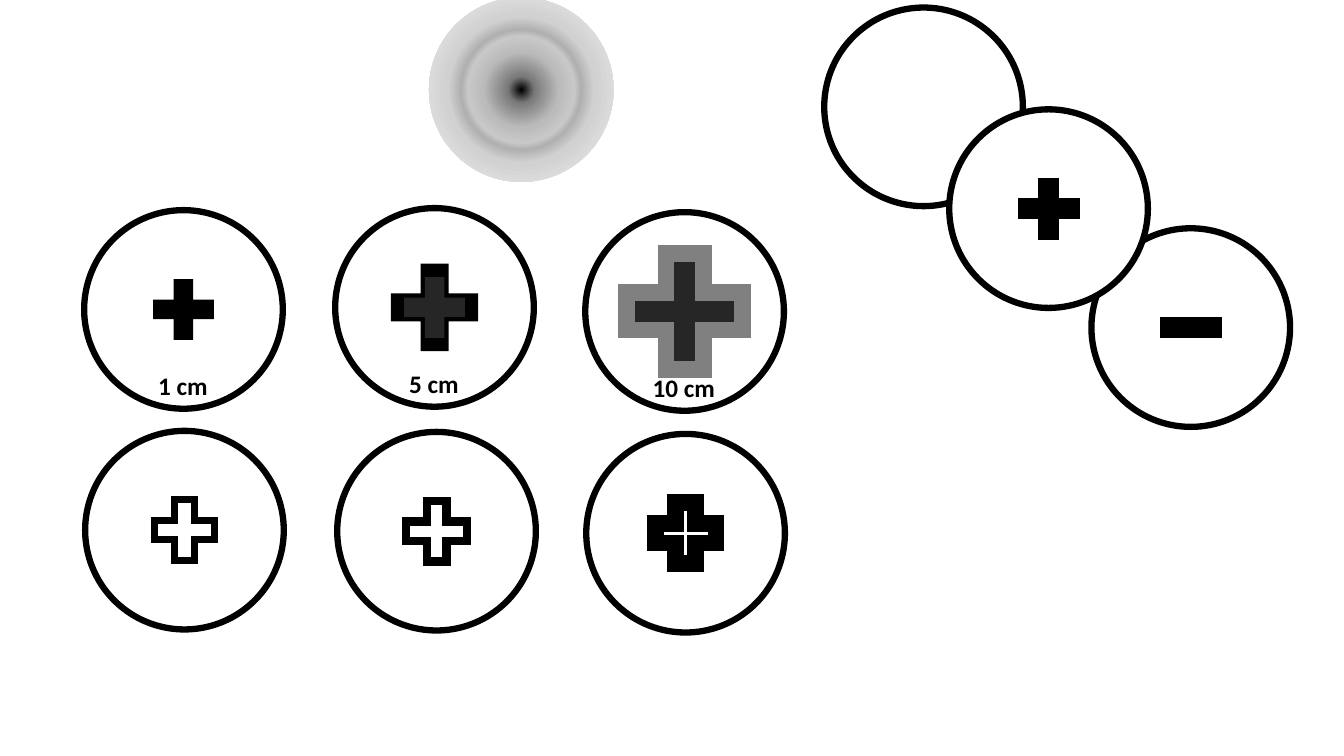
from dataclasses import dataclass
from typing import Optional

from lxml import etree
from pptx import Presentation
from pptx.dml.color import RGBColor
from pptx.enum import shapes, text
from pptx.oxml import ns
from pptx.util import Inches, Pt

BLACK = RGBColor(0x00, 0x00, 0x00)
WHITE = RGBColor(0xFF, 0xFF, 0xFF)
CHARCOAL = RGBColor(0x26, 0x26, 0x26)
GREY = RGBColor(0x80, 0x80, 0x80)

OVAL = shapes.MSO_SHAPE.OVAL
PLUS = shapes.MSO_SHAPE.MATH_PLUS
MINUS = shapes.MSO_SHAPE.MATH_MINUS

DISC_SIZE = 1.97
LABEL_HEIGHT = 0.4
LABEL_DROP = 0.55  # from disc centre to label top
GLOW_STOPS = [(0, "4E4E4E"), (0, "000000"), (10, "797979"), (29, "BBBBBB"),
              (41, "C8C8C8"), (46, "B0B0B0"), (56, "D1D1D1"),
              (72, "DBDBDB"), (88, "E7E7E7"), (100, "FFFFFF")]


@dataclass(frozen=True)
class Sign:
    kind: shapes.MSO_SHAPE = PLUS
    size: float = 0.82
    fill: RGBColor = BLACK
    line: RGBColor = BLACK
    width: float = 0


@dataclass(frozen=True)
class Label:
    words: str
    width: float


@dataclass(frozen=True)
class Disc:
    x: float  # centre
    y: float
    signs: tuple[Sign, ...] = ()
    label: Optional[Label] = None


DISCS = [
    # Overlapping chain at the right
    Disc(9.16, 1.06),
    Disc(11.81, 3.25, (Sign(MINUS, width=1),)),
    Disc(10.4, 2.07, (Sign(width=1),)),
    # Upper row, labelled by distance
    Disc(1.82, 3.07, (Sign(),), Label("1 cm", 0.7)),
    Disc(4.31, 3.05, (Sign(size=1.18), Sign(fill=CHARCOAL)),
         Label("5 cm", 0.7)),
    Disc(6.79, 3.09, (Sign(size=1.57, fill=CHARCOAL, line=GREY, width=12),),
         Label("10 cm", 0.83)),
    # Lower row, outlined crosses
    Disc(1.83, 5.26, (Sign(fill=WHITE, width=5),)),
    Disc(4.33, 5.27, (Sign(fill=WHITE, width=6),)),
    Disc(6.8, 5.29, (Sign(fill=WHITE, width=12),)),
]


def add_centred(s, kind, x: float, y: float, size: float,
                fill: Optional[RGBColor] = None,
                line: RGBColor = BLACK, width: float = 0):
    """Add a square-framed preset shape around a centre point."""
    sp = s.shapes.add_shape(kind, Inches(x - size / 2), Inches(y - size / 2),
                            Inches(size), Inches(size))
    sp.shadow.inherit = False
    if fill is not None:
        sp.fill.solid()
        sp.fill.fore_color.rgb = fill
    if width:
        sp.line.color.rgb = line
        sp.line.width = Pt(width)
        ln = sp.line._get_or_add_ln()
        etree.SubElement(ln, ns.qn("a:miter"), lim="800000")
    else:
        sp.line.fill.background()
    return sp


def add_glow(s, x: float, y: float, size: float) -> None:
    """Add a disc with a radial gradient."""
    sp = add_centred(s, OVAL, x, y, size)
    sp.fill.gradient()
    grad = sp._element.spPr.find(ns.qn("a:gradFill"))
    for child in list(grad):
        grad.remove(child)
    stops = etree.SubElement(grad, ns.qn("a:gsLst"))
    for percent, colour in GLOW_STOPS:
        gs = etree.SubElement(stops, ns.qn("a:gs"), pos=str(percent * 1000))
        etree.SubElement(gs, ns.qn("a:srgbClr"), val=colour)
    path = etree.SubElement(grad, ns.qn("a:path"), path="circle")
    etree.SubElement(path, ns.qn("a:fillToRect"),
                     {side: "50000" for side in "ltrb"})


def add_label(s, label: Label, x: float, top: float) -> None:
    sp = s.shapes.add_textbox(Inches(x - label.width / 2), Inches(top),
                              Inches(label.width), Inches(LABEL_HEIGHT))
    tf = sp.text_frame
    tf.word_wrap = False
    tf.auto_size = text.MSO_AUTO_SIZE.SHAPE_TO_FIT_TEXT
    p = tf.paragraphs[0]
    p.text = label.words
    p.font.name = "Calibri"
    p.font.size = Pt(18)
    p.font.bold = True
    p.font.color.rgb = BLACK


def add_disc(s, disc: Disc) -> None:
    add_centred(s, OVAL, disc.x, disc.y, DISC_SIZE, WHITE, width=4.5)
    for sign in disc.signs:
        add_centred(s, sign.kind, disc.x, disc.y, sign.size,
                    sign.fill, sign.line, sign.width)
    if disc.label:
        add_label(s, disc.label, disc.x, disc.y + LABEL_DROP)


def main() -> None:
    prs = Presentation()
    prs.slide_width, prs.slide_height = Inches(13.33), Inches(7.5)
    s = prs.slides.add_slide(prs.slide_layouts[6])
    add_glow(s, 5.17, 0.89, 1.83)
    for disc in DISCS:
        add_disc(s, disc)
    prs.save("out.pptx")


if __name__ == "__main__":
    main()
